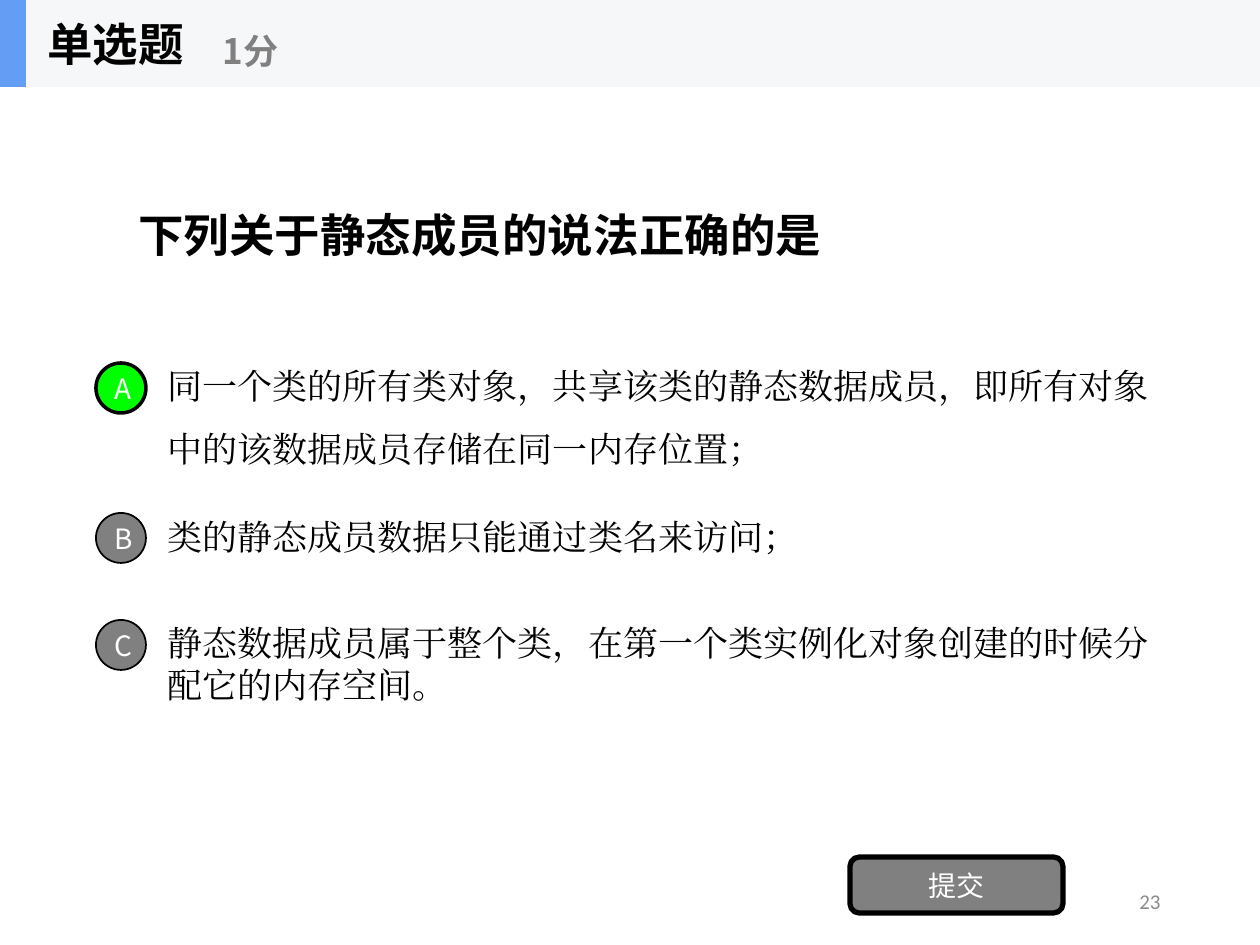
import pptx
import pptx.dml.color
import pptx.enum.shapes
import pptx.enum.text
import pptx.oxml.ns
import pptx.util
import lxml.etree

SHAPE = pptx.enum.shapes.MSO_SHAPE
ALIGN = pptx.enum.text.PP_ALIGN
SANS = "Noto Sans CJK SC"
SERIF = "Times New Roman"


def rgb(value):
    return pptx.dml.color.RGBColor.from_string(value)


class QuizSlide:
    """Holds the style and the slide, and adds each kind of element."""

    scale = 914400 / 126
    grey, black, white = "808080", "000000", "FFFFFF"

    def __init__(self, prs):
        prs.slide_width = self.px(1260)
        prs.slide_height = self.px(945)
        self.s = prs.slides.add_slide(prs.slide_layouts[6])

    def px(self, n):
        return pptx.util.Emu(round(n * self.scale))

    def set_text(self, sp, text, size, color, font=SANS, bold=False, align=ALIGN.LEFT, spacing=None):
        tf = sp.text_frame
        tf.text = text
        tf.word_wrap = True
        tf.vertical_anchor = pptx.enum.text.MSO_ANCHOR.MIDDLE
        for p in tf.paragraphs:
            p.alignment = align
            p.line_spacing = spacing
            for r in p.runs:
                r.font.size = pptx.util.Pt(size)
                r.font.bold = bold
                r.font.name = font
                r.font.color.rgb = rgb(color)
                ea = lxml.etree.SubElement(r._r.get_or_add_rPr(), pptx.oxml.ns.qn("a:ea"))
                ea.set("typeface", font)

    def text(self, box, text, size, color=black, **style):
        sp = self.s.shapes.add_textbox(*map(self.px, box))
        self.set_text(sp, text, size, color, **style)

    def shape(self, kind, box, fill, line=0):
        sp = self.s.shapes.add_shape(kind, *map(self.px, box))
        sp.shadow.inherit = False
        sp.fill.solid()
        sp.fill.fore_color.rgb = rgb(fill)
        if line:
            sp.line.color.rgb = rgb(self.black)
            sp.line.width = pptx.util.Pt(line)
        else:
            sp.line.fill.background()
        return sp

    def badge(self, top, letter, fill, line):
        sp = self.shape(SHAPE.OVAL, (96, top, 50, 50), fill, line)
        tf = sp.text_frame
        tf.margin_left = self.px(5)
        tf.margin_right = tf.margin_top = tf.margin_bottom = 0
        self.set_text(sp, letter, 16, self.white, align=ALIGN.CENTER)

    def button(self, box, label):
        sp = self.shape(SHAPE.ROUNDED_RECTANGLE, box, self.grey, 3)
        self.set_text(sp, label, 16, self.white, align=ALIGN.CENTER)


def main():
    prs = pptx.Presentation()
    quiz = QuizSlide(prs)

    quiz.text((890, 876, 283, 50), "23", 12, "8C8C8C", font="Calibri", align=ALIGN.RIGHT)
    quiz.text((126, 87, 1008, 295), "下列关于静态成员的说法正确的是", 26, bold=True)

    options = [
        ("A", 363, 363, 1.5, "00FF00", 2,
         "同一个类的所有类对象，共享该类的静态数据成员，即所有对象\n中的该数据成员存储在同一内存位置；"),
        ("B", 513, 493, None, quiz.grey, 1, "类的静态成员数据只能通过类名来访问；"),
        ("C", 620, 620, None, quiz.grey, 1,
         "静态数据成员属于整个类，在第一个类实例化对象创建的时候分\n配它的内存空间。"),
    ]
    for letter, badge_top, text_top, spacing, fill, line, answer in options:
        quiz.text((155, text_top, 1020, 88), answer, 20, font=SERIF, spacing=spacing)
        quiz.badge(badge_top, letter, fill, line)

    quiz.button((850, 857, 213, 56), "提交")

    quiz.shape(SHAPE.RECTANGLE, (0, 0, 1260, 87), "F6F7F8")
    quiz.shape(SHAPE.RECTANGLE, (0, 0, 26, 87), "639EF4")
    quiz.text((35, 0, 262, 87), "单选题", 26, bold=True)
    quiz.text((210, 15, 315, 71), "1分", 20, quiz.grey, bold=True)

    prs.save("out.pptx")


if __name__ == "__main__":
    main()
